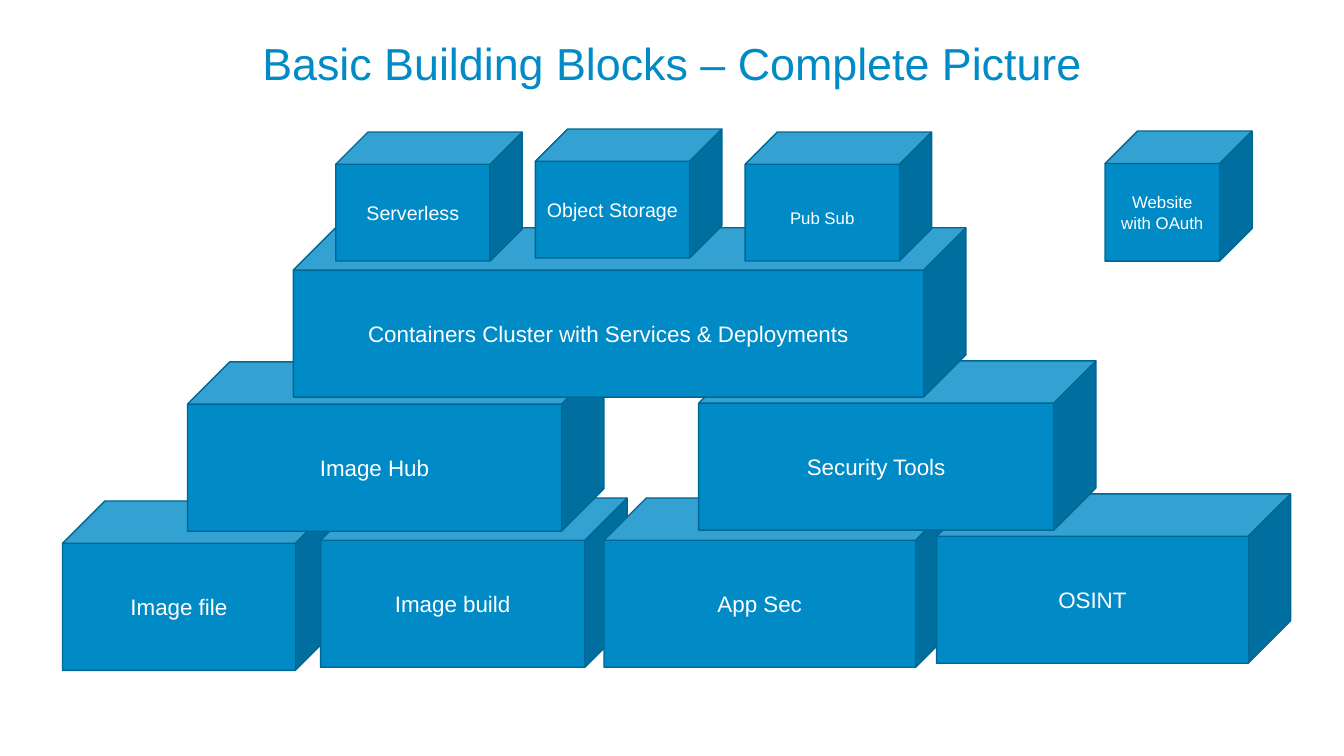
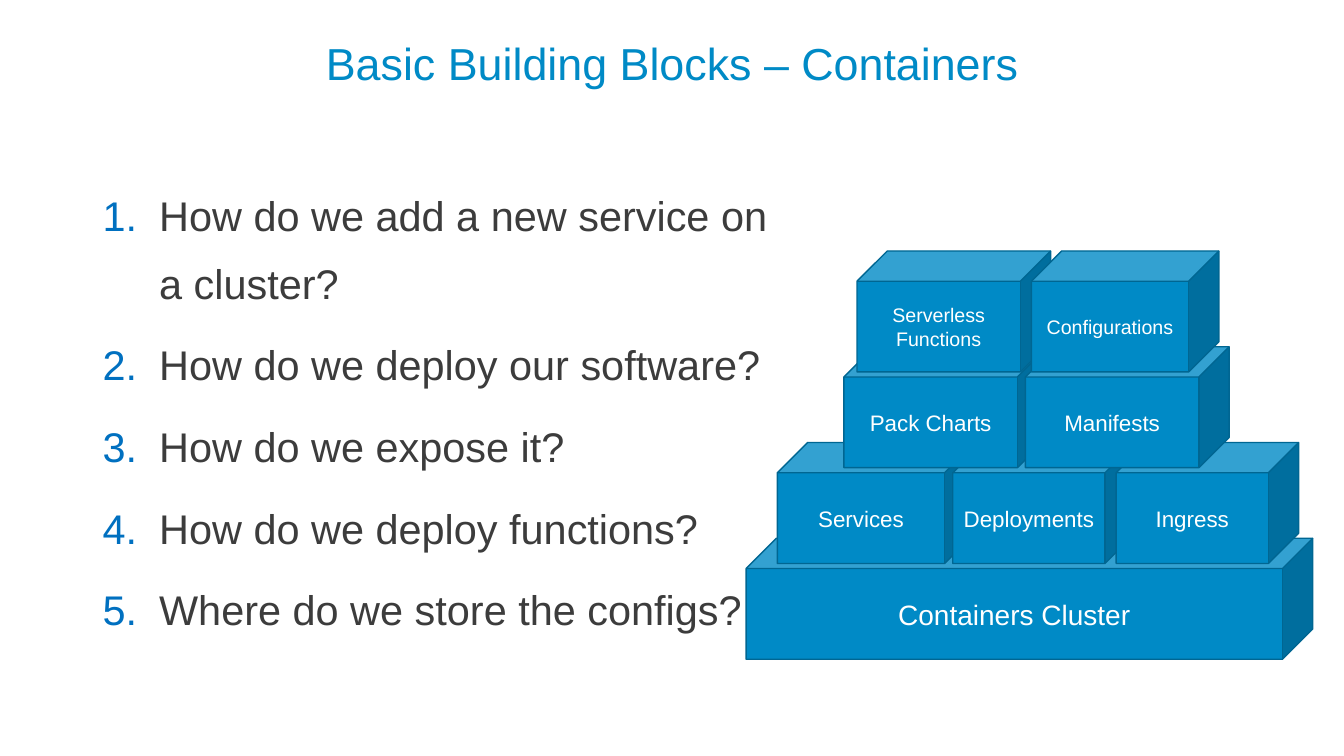
from pptx import Presentation
from pptx.dml.color import RGBColor
from pptx.enum import shapes, text
from pptx.oxml import parse_xml
from pptx.oxml.ns import nsdecls
from pptx.util import Inches, Pt

FONT = "Arial"
BLUE, EDGE, WHITE = "008AC6", "006692", "FFFFFF"
INK, NUMBER = "3C3C3C", "0070C0"


def color(code):
    return RGBColor.from_string(code)


def style(para, size, code, align=None, spacing=None):
    para.alignment = align
    para.line_spacing = spacing
    for run in para.runs:
        run.font.name = FONT
        run.font.size = Pt(size)
        run.font.color.rgb = color(code)


def add_slide(deck, heading):
    slide = deck.slides.add_slide(deck.slide_layouts[5])
    title = slide.shapes.title
    title.left, title.top = Inches(0.92), Inches(0.4)
    title.width, title.height = Inches(11.5), Inches(0.51)
    frame = title.text_frame
    frame.text = heading
    frame.auto_size = text.MSO_AUTO_SIZE.NONE
    frame.vertical_anchor = text.MSO_ANCHOR.MIDDLE
    style(frame.paragraphs[0], 32, BLUE, text.PP_ALIGN.CENTER, 0.9)
    return slide


def add_cube(slide, label, box, size=16, spacing=None):
    cube = slide.shapes.add_shape(shapes.MSO_SHAPE.CUBE, *map(Inches, box))
    cube.shadow.inherit = False
    cube.fill.solid()
    cube.fill.fore_color.rgb = color(BLUE)
    cube.line.color.rgb = color(EDGE)
    cube.line.width = Pt(1)
    frame = cube.text_frame
    frame.text = label
    frame.word_wrap = True
    frame.vertical_anchor = text.MSO_ANCHOR.MIDDLE
    style(frame.paragraphs[0], size, WHITE, text.PP_ALIGN.CENTER, spacing)


def add_row(slide, top, height, cubes, size=16):
    """Place cubes, given as (label, left, width), side by side."""
    for label, left, width in cubes:
        add_cube(slide, label, (left, top, width, height), size)


def add_list(slide, items, box):
    """Write a numbered list with a hanging indent."""
    frame = slide.shapes.add_textbox(*map(Inches, box)).text_frame
    frame.word_wrap = True
    frame.text = "\n".join(items)
    for para in frame.paragraphs:
        style(para, 29.6, INK, spacing=1.36)
        para.space_before = Pt(10)
        props = para._p.get_or_add_pPr()
        props.set("marL", str(Inches(0.56)))
        props.set("indent", str(-Inches(0.56)))
        for xml in (
            f'<a:buClr {nsdecls("a")}><a:srgbClr val="{NUMBER}"/></a:buClr>',
            f'<a:buFont {nsdecls("a")} typeface="{FONT}"/>',
            f'<a:buAutoNum {nsdecls("a")} type="arabicPeriod"/>',
        ):
            props.append(parse_xml(xml))


def build_complete(deck):
    slide = add_slide(deck, "Basic Building Blocks – Complete Picture")
    tall, small = 1.68, 1.28
    add_cube(slide, "Website with OAuth", (10.96, 1.3, 1.46, 1.29), 12)
    add_row(slide, 4.97, tall, [("Image file", 0.62, 2.73)])
    add_row(slide, 4.94, tall, [("Image build", 3.18, 3.04)])
    add_row(slide, 3.59, tall, [("Image Hub", 1.86, 4.13)])
    add_row(slide, 4.94, tall, [("App Sec", 5.99, 3.51)])
    add_row(slide, 4.9, tall, [("OSINT", 9.29, 3.51)])
    add_row(slide, 3.58, tall, [("Security Tools", 6.93, 3.94)])
    add_row(slide, 2.26, tall,
            [("Containers Cluster with Services & Deployments", 2.91, 6.67)])
    add_cube(slide, "Serverless", (3.33, 1.31, 1.85, small), 14)
    add_cube(slide, "Object Storage", (5.31, 1.28, 1.85, small), 14)
    add_cube(slide, "Pub Sub", (7.39, 1.31, 1.85, small), 12, 1.5)


def build_cluster(deck):
    slide = add_slide(deck, "Basic Building Blocks – Containers")
    add_list(slide, [
        "How do we add a new service on a cluster?",
        "How do we deploy our software?",
        "How do we expose it?",
        "How do we deploy functions?",
        "Where do we store the configs?",
    ], (0.92, 1.66, 7.08, 4.53))
    rows = [
        (20, [("Containers Cluster", 7.4, 5.62)]),
        (16, [("Services", 7.71, 1.96), ("Deployments", 9.45, 1.81),
              ("Ingress", 11.07, 1.81)]),
        (16, [("Pack Charts", 8.37, 2.02), ("Manifests", 10.17, 2.02)]),
        (14, [("Serverless Functions", 8.5, 1.92),
              ("Configurations", 10.23, 1.86)]),
    ]
    for level, (size, cubes) in enumerate(rows):
        add_row(slide, 5.34 - 0.95 * level, 1.2, cubes, size)


def main():
    deck = Presentation()
    deck.slide_width, deck.slide_height = Inches(13.33), Inches(7.5)
    build_complete(deck)
    build_cluster(deck)
    deck.save("out.pptx")


if __name__ == "__main__":
    main()
